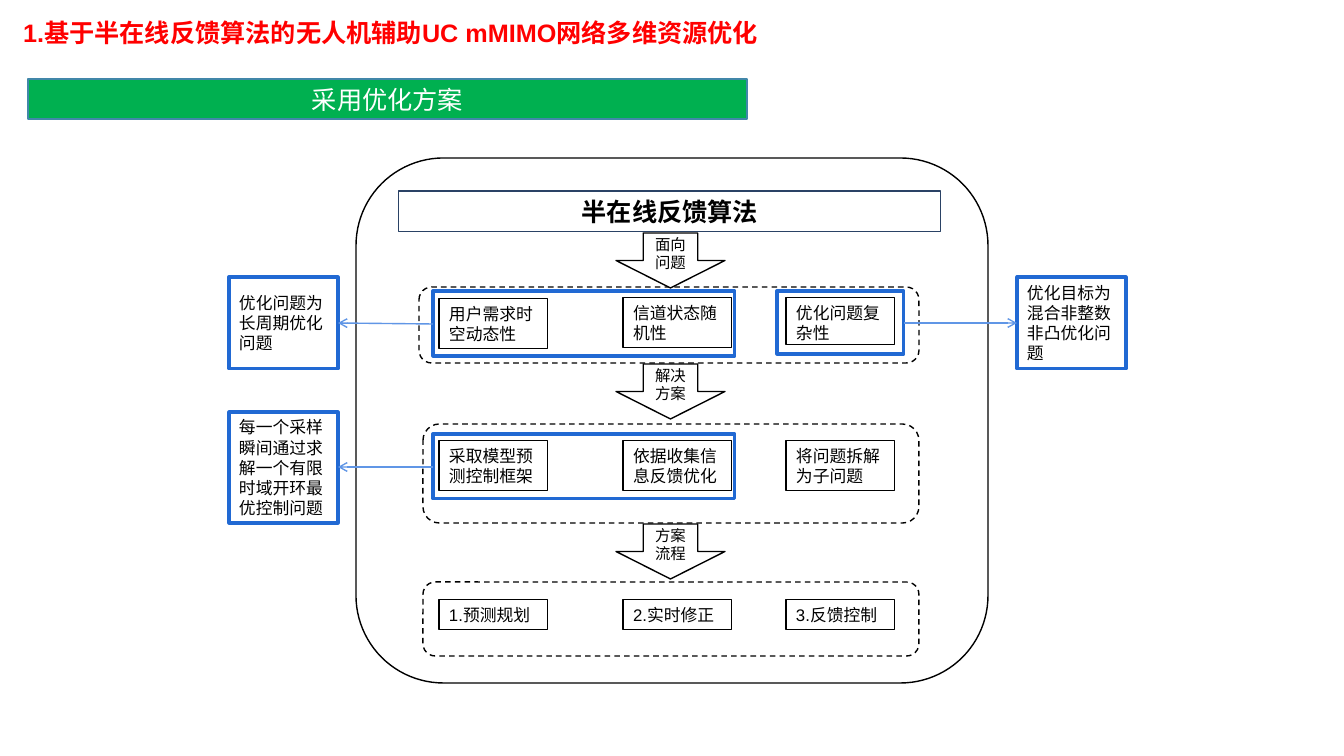
from lxml import etree
from pptx import Presentation
from pptx import util as u
from pptx.dml import color
from pptx.enum import dml, shapes, text
from pptx.oxml import ns

PX = 914400 / 100.8
BLACK, WHITE, RED, GREEN = "000000", "FFFFFF", "FF0000", "00B050"
BLUE, PALE_BLUE, TEAL, NAVY = "2169D3", "6096E6", "4187A9", "2A4265"
SHAPE = shapes.MSO_SHAPE
MIDDLE = text.MSO_ANCHOR.MIDDLE
TOP = text.MSO_ANCHOR.TOP
CENTER = text.PP_ALIGN.CENTER
LEFT = text.PP_ALIGN.LEFT


def px(value):
    return u.Emu(round(value * PX))


def rgb(value):
    return color.RGBColor.from_string(value)


class Sketch:
    font = "Arial"

    def __init__(self, slide):
        self.slide = slide

    def put_text(self, owner, words, size=12, ink=BLACK, bold=False,
                 align=LEFT, anchor=TOP, inset=(10, 5)):
        frame = owner.text_frame
        across, down = map(px, inset)
        layout = {"word_wrap": True, "vertical_anchor": anchor,
                  "margin_left": across, "margin_right": across,
                  "margin_top": down, "margin_bottom": down}
        for name, value in layout.items():
            setattr(frame, name, value)
        paragraph = frame.paragraphs[0]
        paragraph.alignment = align
        run = paragraph.add_run()
        run.text = words
        for name, value in {"name": self.font, "size": u.Pt(size), "bold": bold}.items():
            setattr(run.font, name, value)
        run.font.color.rgb = rgb(ink)

    def label(self, area, words, **style):
        self.put_text(self.slide.shapes.add_textbox(*map(px, area)), words, **style)

    def box(self, area, words="", kind=SHAPE.RECTANGLE, fill=None,
            line=BLACK, width=0.75, dashed=False, **style):
        box = self.slide.shapes.add_shape(kind, *map(px, area))
        box.shadow.inherit = False
        if fill:
            box.fill.solid()
            box.fill.fore_color.rgb = rgb(fill)
        else:
            box.fill.background()
        box.line.color.rgb = rgb(line)
        box.line.width = u.Pt(width)
        if dashed:
            box.line.dash_style = dml.MSO_LINE.DASH
        if words:
            self.put_text(box, words, **style)

    def panel(self, area, dashed=True):
        self.box(area, kind=SHAPE.ROUNDED_RECTANGLE, fill=WHITE, width=1, dashed=dashed)

    def step(self, top, words):
        self.box((616, top, 109, 55), words, kind=SHAPE.DOWN_ARROW, fill=WHITE, width=1,
                 size=11, align=CENTER, anchor=MIDDLE, inset=(8, 0))

    def highlight(self, area, words=""):
        self.box(area, words, line=BLUE, width=2.25, anchor=MIDDLE)

    def arrow(self, *ends):
        arrow = self.slide.shapes.add_connector(
            shapes.MSO_CONNECTOR.STRAIGHT, *map(px, ends))
        arrow.line.color.rgb = rgb(PALE_BLUE)
        arrow.line.width = u.Pt(1)
        properties = arrow._element.spPr
        etree.SubElement(properties.find(ns.qn("a:ln")), ns.qn("a:tailEnd"), type="arrow")
        etree.SubElement(properties, ns.qn("a:effectLst"))


def main():
    deck = Presentation()
    deck.slide_width, deck.slide_height = px(1344), px(756)
    sketch = Sketch(deck.slides.add_slide(deck.slide_layouts[6]))

    sketch.label((13, 12, 802, 40), "1.基于半在线反馈算法的无人机辅助UC mMIMO网络多维资源优化",
                 size=18, ink=RED, bold=True)
    sketch.box((28, 79, 719, 40), "采用优化方案", fill=GREEN, line=TEAL, width=1,
               size=18, ink=WHITE, align=CENTER, anchor=MIDDLE)

    sketch.panel((356, 158, 632, 525), dashed=False)
    for panel in ((419, 287, 500, 76), (423, 424, 496, 99), (423, 582, 496, 74)):
        sketch.panel(panel)
    sketch.box((399, 191, 542, 41), "半在线反馈算法", line=NAVY,
               size=18, bold=True, align=CENTER)
    for top, words in ((233, "面向问题"), (364, "解决方案"), (524, "方案流程")):
        sketch.step(top, words)

    columns = (439, 623, 786)
    rows = (
        (("用户需求时空动态性", 299, 50), ("信道状态随机性", 298, 50), ("优化问题复杂性", 298, 47)),
        (("采取模型预测控制框架", 441, 50), ("依据收集信息反馈优化", 441, 50), ("将问题拆解为子问题", 441, 50)),
        (("1.预测规划", 600, 30), ("2.实时修正", 600, 30), ("3.反馈控制", 600, 30)),
    )
    for row in rows:
        for left, (words, top, height) in zip(columns, row):
            sketch.box((left, top, 109, height), words)

    for group in ((433, 291, 302, 65), (777, 291, 127, 63), (433, 434, 302, 65)):
        sketch.highlight(group)
    notes = (
        ((229, 277, 109, 92), "优化问题为长周期优化问题"),
        ((1017, 277, 109, 92), "优化目标为混合非整数非凸优化问题"),
        ((229, 412, 109, 111), "每一个采样瞬间通过求解一个有限时域开环最优控制问题"),
    )
    for area, words in notes:
        sketch.highlight(area, words)
    for ends in ((433, 324, 338, 323), (904, 323, 1017, 323), (433, 467, 338, 467)):
        sketch.arrow(*ends)

    deck.save("out.pptx")


if __name__ == "__main__":
    main()
